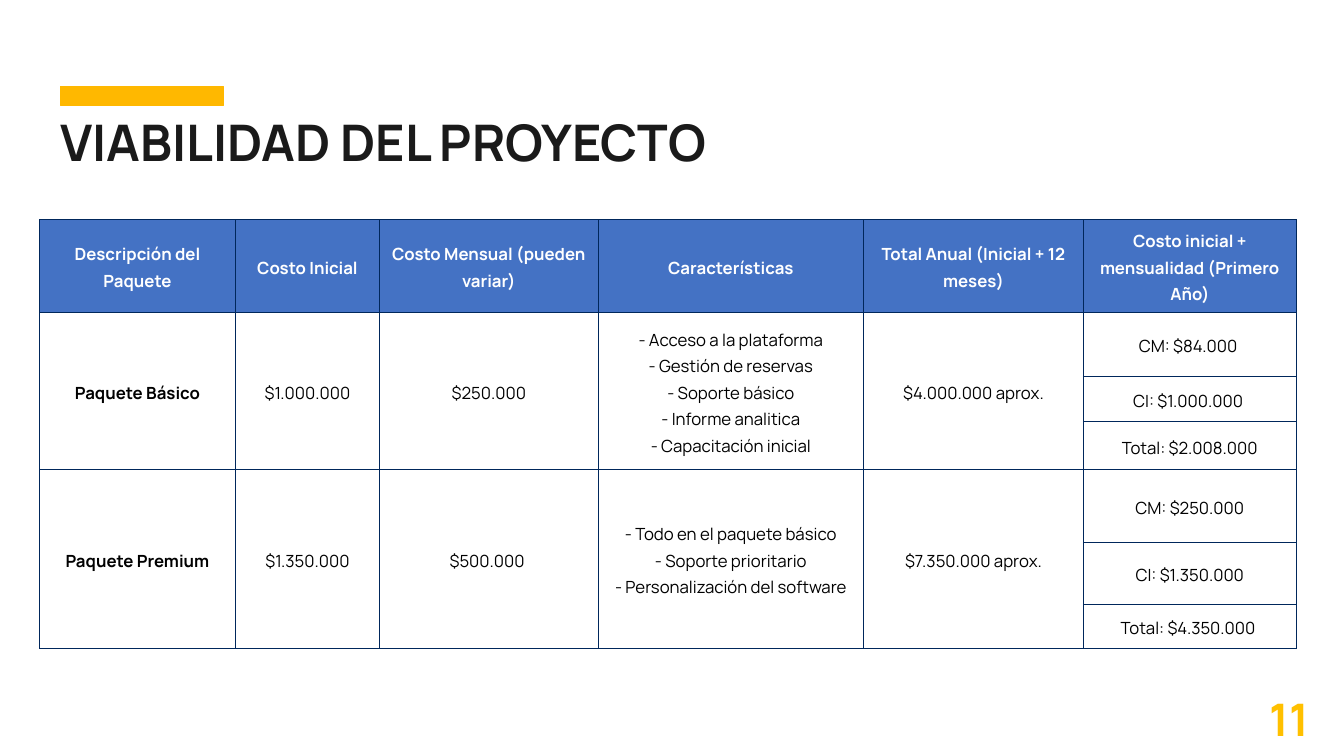
from lxml import etree
from pptx import Presentation
from pptx import util as u
from pptx.dml.color import RGBColor
from pptx.enum import shapes, text
from pptx.oxml.ns import qn


def paint(color_format, color):
    color_format.rgb = RGBColor.from_string(color)


def write(frame, lines, size, color, bold, **layout):
    for number, line in enumerate(lines):
        paragraph = frame.paragraphs[0] if number == 0 else frame.add_paragraph()
        for name, value in layout.items():
            setattr(paragraph, name, value)
        run = paragraph.add_run()
        run.text = line
        for name, value in {"name": "Manrope", "size": u.Pt(size), "bold": bold}.items():
            setattr(run.font, name, value)
        paint(run.font.color, color)


deck = Presentation()
deck.slide_width, deck.slide_height = u.Cm(33.87), u.Cm(19.05)
slide = deck.slides.add_slide(deck.slide_layouts[6])

accent = slide.shapes.add_shape(
    shapes.MSO_SHAPE.RECTANGLE, u.Cm(1.52), u.Cm(2.18), u.Cm(4.11), u.Cm(0.48))
accent.shadow.inherit = False
accent.fill.solid()
paint(accent.fill.fore_color, "FFB800")
paint(accent.line.color, "FFB800")
accent.line.width = u.Pt(1)

for label, size, color, box, padding in [
    ("VIABILIDAD DEL PROYECTO", 36, "1A1A1A", (1.27, 2.67, 17.55, 1.8), 0.13),
    ("11", 32, "FFC000", (31.75, 17.17, 2.74, 1.88), 0.25),
]:
    frame = slide.shapes.add_textbox(*map(u.Cm, box)).text_frame
    for name, value in {
        "word_wrap": True,
        "auto_size": text.MSO_AUTO_SIZE.SHAPE_TO_FIT_TEXT,
        "margin_top": u.Cm(padding),
        "margin_bottom": u.Cm(padding),
    }.items():
        setattr(frame, name, value)
    write(frame, [label], size, color, True)

headings = [
    "Descripción del Paquete",
    "Costo Inicial",
    "Costo Mensual (pueden variar)",
    "Características",
    "Total Anual (Inicial + 12 meses)",
    "Costo inicial + mensualidad (Primero Año)",
]
packages = [
    (
        ["Paquete Básico"], ["$1.000.000"], ["$250.000"],
        ["- Acceso a la plataforma", "- Gestión de reservas", "- Soporte básico",
         "- Informe analitica", "- Capacitación inicial"],
        ["$4.000.000 aprox."],
        ["CM: $84.000 ", "CI: $1.000.000 ", "Total: $2.008.000"],
    ),
    (
        ["Paquete Premium"], ["$1.350.000"], ["$500.000 "],
        ["- Todo en el paquete básico", "- Soporte prioritario",
         "- Personalización del software"],
        ["$7.350.000 aprox."],
        ["CM: $250.000", "CI: $1.350.000", "Total: $4.350.000 "],
    ),
]
column_widths = [4.93, 3.64, 5.5, 6.7, 5.53, 5.37]
row_heights = [2.34, 1.62, 1.14, 1.21, 1.82, 1.57, 1.1]

costs = slide.shapes.add_table(
    len(row_heights), len(column_widths), u.Cm(1), u.Cm(5.53),
    u.Cm(sum(column_widths)), u.Cm(sum(row_heights))).table
for column, width in zip(costs.columns, column_widths):
    column.width = u.Cm(width)
for row, height in zip(costs.rows, row_heights):
    row.height = u.Cm(height)

contents = {(0, column): [heading] for column, heading in enumerate(headings)}
for number, (*details, breakdown) in enumerate(packages):
    top = 1 + 3 * number
    for column, lines in enumerate(details):
        contents[top, column] = lines
        costs.cell(top, column).merge(costs.cell(top + 2, column))
    for offset, amount in enumerate(breakdown):
        contents[top + offset, len(details)] = [amount]

for row in range(len(row_heights)):
    for column in range(len(column_widths)):
        cell = costs.cell(row, column)
        for name, value in {
            "vertical_anchor": text.MSO_ANCHOR.MIDDLE,
            "margin_left": u.Cm(0.08),
            "margin_right": u.Cm(0.08),
            "margin_top": u.Cm(0.05),
            "margin_bottom": u.Cm(0.05),
        }.items():
            setattr(cell, name, value)
        for side in ("a:lnL", "a:lnR", "a:lnT", "a:lnB"):
            border = etree.SubElement(
                cell._tc.get_or_add_tcPr(), qn(side), w=str(u.Pt(0.75)))
            line_fill = etree.SubElement(border, qn("a:solidFill"))
            etree.SubElement(line_fill, qn("a:srgbClr"), val="00275B")
        if row == 0 or column == 0:
            cell.fill.solid()
            paint(cell.fill.fore_color, "4472C4" if row == 0 else "FFFFFF")
        else:
            cell.fill.background()
        write(cell.text_frame, contents.get((row, column), []), 12,
              "FFFFFF" if row == 0 else "000000", row == 0 or column == 0,
              alignment=text.PP_ALIGN.CENTER, line_spacing=1.15)

deck.save("out.pptx")
